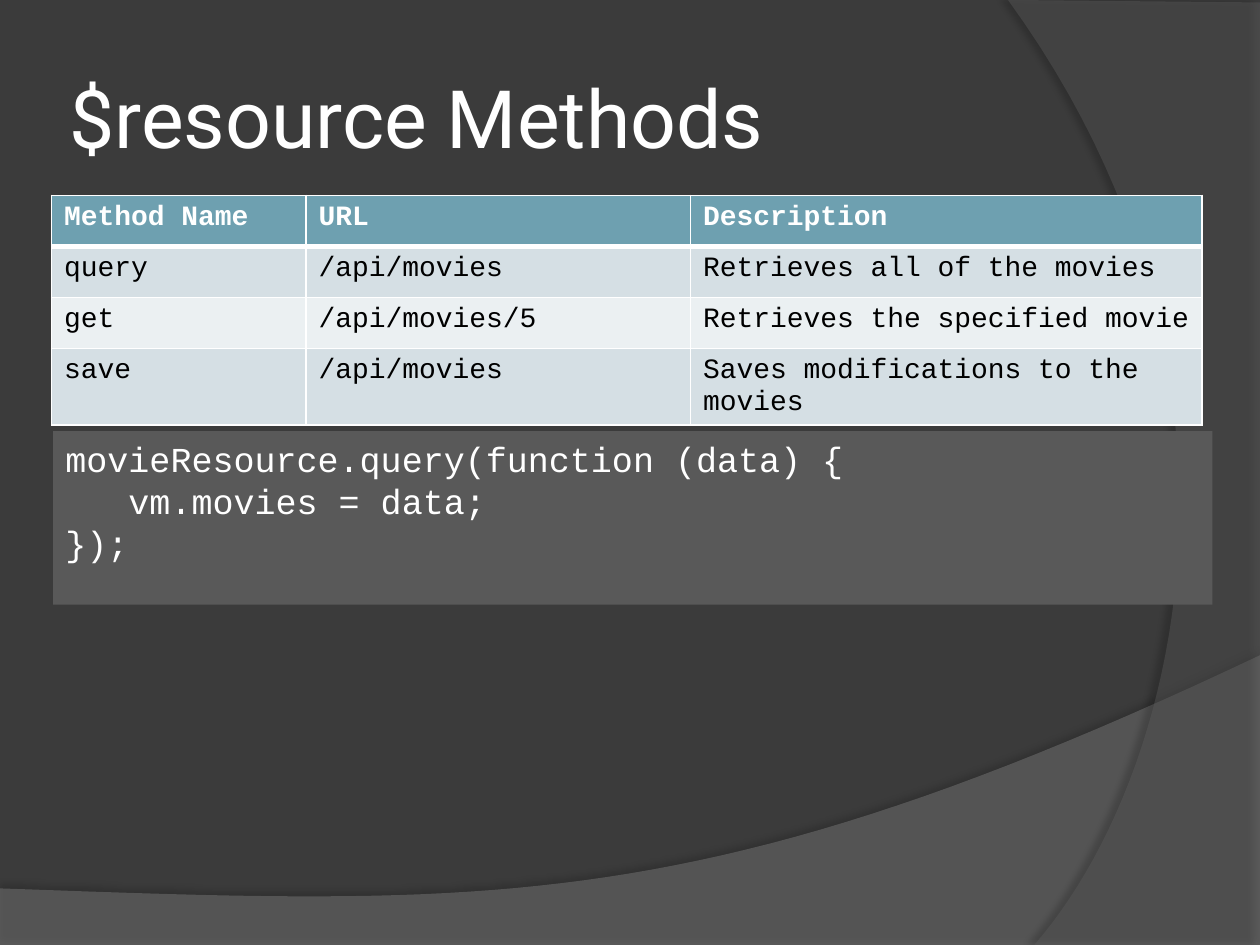
from pptx import Presentation
from pptx.dml.color import RGBColor
from pptx.enum.shapes import MSO_SHAPE as Shape
from pptx.enum.text import MSO_ANCHOR as Anchor, PP_ALIGN as Align
from pptx.oxml.ns import qn
from pptx.util import Cm, Pt
from lxml.etree import SubElement

COLORS = {
    "background": "3B3B3B", "wave": "7F7F7F", "arc": "5E5E5E", "shadow": "000000",
    "white": "FFFFFF", "black": "000000", "code": "595959",
    "header": "6EA0B0", "odd_row": "D5DFE4", "even_row": "EBF0F2",
}
CODE_FONT = "Courier New"
METHODS = [
    ("Method Name", "URL", "Description"),
    ("query", "/api/movies", "Retrieves all of the movies"),
    ("get", "/api/movies/5", "Retrieves the specified movie"),
    ("save", "/api/movies", "Saves modifications to the movies"),
]
CODE = "movieResource.query(function (data) {\n   vm.movies = data;\n});"


def color(name):
    """Return the named colour."""
    return RGBColor.from_string(COLORS[name])


def format_text(text_frame, font_name, size, color_name, bold=False):
    """Left-align every paragraph and format its runs."""
    for paragraph in text_frame.paragraphs:
        paragraph.alignment = Align.LEFT
        for run in paragraph.runs:
            run.font.name = font_name
            run.font.size = Pt(size)
            run.font.bold = bold
            run.font.color.rgb = color(color_name)


def curve_points(start, control_1, control_2, end, steps=48):
    """Return points along a cubic curve."""
    return [
        tuple((1 - t) ** 3 * a + 3 * (1 - t) ** 2 * t * b + 3 * (1 - t) * t ** 2 * c + t ** 3 * d
              for a, b, c, d in zip(start, control_1, control_2, end))
        for t in (step / steps for step in range(steps + 1))
    ]


def set_alpha(color_element, percent):
    """Give a colour element an opacity."""
    SubElement(color_element, qn("a:alpha"), val=str(percent * 1000))


def add_sweep(slide, left, top, points, color_name, opacity, shadow_opacity, distance, angle):
    """Draw a translucent curved area behind the title."""
    corners = [(Cm(x), Cm(y)) for x, y in points]
    builder = slide.shapes.build_freeform(*corners[0])
    builder.add_line_segments(corners[1:], close=True)
    shape = builder.convert_to_shape(left, top)
    shape.fill.solid()
    shape.fill.fore_color.rgb = color(color_name)
    set_alpha(shape.element.spPr.find(".//" + qn("a:srgbClr")), opacity)
    shape.line.fill.background()
    shape.shadow.inherit = False
    effects = shape.element.spPr.find(qn("a:effectLst"))
    shadow = SubElement(effects, qn("a:outerShdw"), blurRad=str(Pt(4)), dist=str(Pt(distance)),
                        dir=str(angle * 60000), algn="ctr", rotWithShape="0")
    set_alpha(SubElement(shadow, qn("a:srgbClr"), val=COLORS["shadow"]), shadow_opacity)
    slide.shapes.title.element.addprevious(shape.element)


def add_backdrop(slide):
    """Fill the background and draw its two sweeps."""
    slide.background.fill.solid()
    slide.background.fill.fore_color.rgb = color("background")
    wave = [(0, 5.87), (25.4, 5.87)]
    wave += curve_points((25.4, 0), (14.2, 5.31), (9.93, 5.05), (0, 4.7))
    add_sweep(slide, Cm(0), Cm(13.21), wave, "wave", 45, 35, 3.5, 270)
    arc = [(5.08, 0.05), (5.08, 19.05)]
    arc += curve_points((0.53, 19.05), (3.43, 15.72), (5.54, 7.62), (0, 0))
    add_sweep(slide, Cm(20.32), Cm(0), arc, "arc", 40, 45, 4, 180)


def add_title(slide, left, top, width, height):
    """Place and format the title placeholder."""
    title = slide.shapes.title
    title.left, title.top, title.width, title.height = left, top, width, height
    text_frame = title.text_frame
    text_frame.text = "$resource Methods"
    text_frame.vertical_anchor = Anchor.MIDDLE
    text_frame.margin_left = text_frame.margin_right = Cm(0.13)
    format_text(text_frame, "Roboto", 46, "white")


def add_code(slide, left, top, width, height):
    """Draw the code panel."""
    panel = slide.shapes.add_shape(Shape.RECTANGLE, left, top, width, height)
    panel.shadow.inherit = False
    panel.fill.solid()
    panel.fill.fore_color.rgb = color("code")
    panel.line.fill.background()
    panel.text_frame.text = CODE
    panel.text_frame.word_wrap = True
    panel.text_frame.vertical_anchor = Anchor.TOP
    format_text(panel.text_frame, CODE_FONT, 20, "white")


def add_borders(cell, top_width, bottom_width):
    """Draw white borders round a cell."""
    properties = cell._tc.get_or_add_tcPr()
    for side, width in (("L", 1), ("R", 1), ("T", top_width), ("B", bottom_width)):
        line = SubElement(properties, qn("a:ln" + side), w=str(Pt(width)))
        SubElement(SubElement(line, qn("a:solidFill")), qn("a:srgbClr"), val=COLORS["white"])


def add_methods_table(slide, left, top, width, row_height):
    """Draw the table of resource methods."""
    frame = slide.shapes.add_table(len(METHODS), 3, left, top, width, row_height * len(METHODS))
    table = frame.table
    for column, column_width in zip(table.columns, (5.13, 7.75, 10.31)):
        column.width = Cm(column_width)
    for row_index, row in enumerate(METHODS):
        is_header = row_index == 0
        fill_name = "header" if is_header else "odd_row" if row_index % 2 else "even_row"
        for column_index, text in enumerate(row):
            cell = table.cell(row_index, column_index)
            add_borders(cell, 3 if row_index == 1 else 1, 3 if is_header else 1)
            cell.fill.solid()
            cell.fill.fore_color.rgb = color(fill_name)
            cell.text_frame.text = text
            format_text(cell.text_frame, CODE_FONT, 16, "white" if is_header else "black", is_header)


def main():
    """Build and save the presentation."""
    presentation = Presentation()
    presentation.slide_width, presentation.slide_height = Cm(25.4), Cm(19.05)
    slide = presentation.slides.add_slide(presentation.slide_layouts[5])
    add_backdrop(slide)
    add_title(slide, Cm(1.27), Cm(0.76), Cm(23.5), Cm(3.18))
    add_code(slide, Cm(1.07), Cm(8.69), Cm(23.37), Cm(3.5))
    add_methods_table(slide, Cm(1.04), Cm(3.94), Cm(23.19), Cm(1.03))
    presentation.save("out.pptx")


if __name__ == "__main__":
    main()
